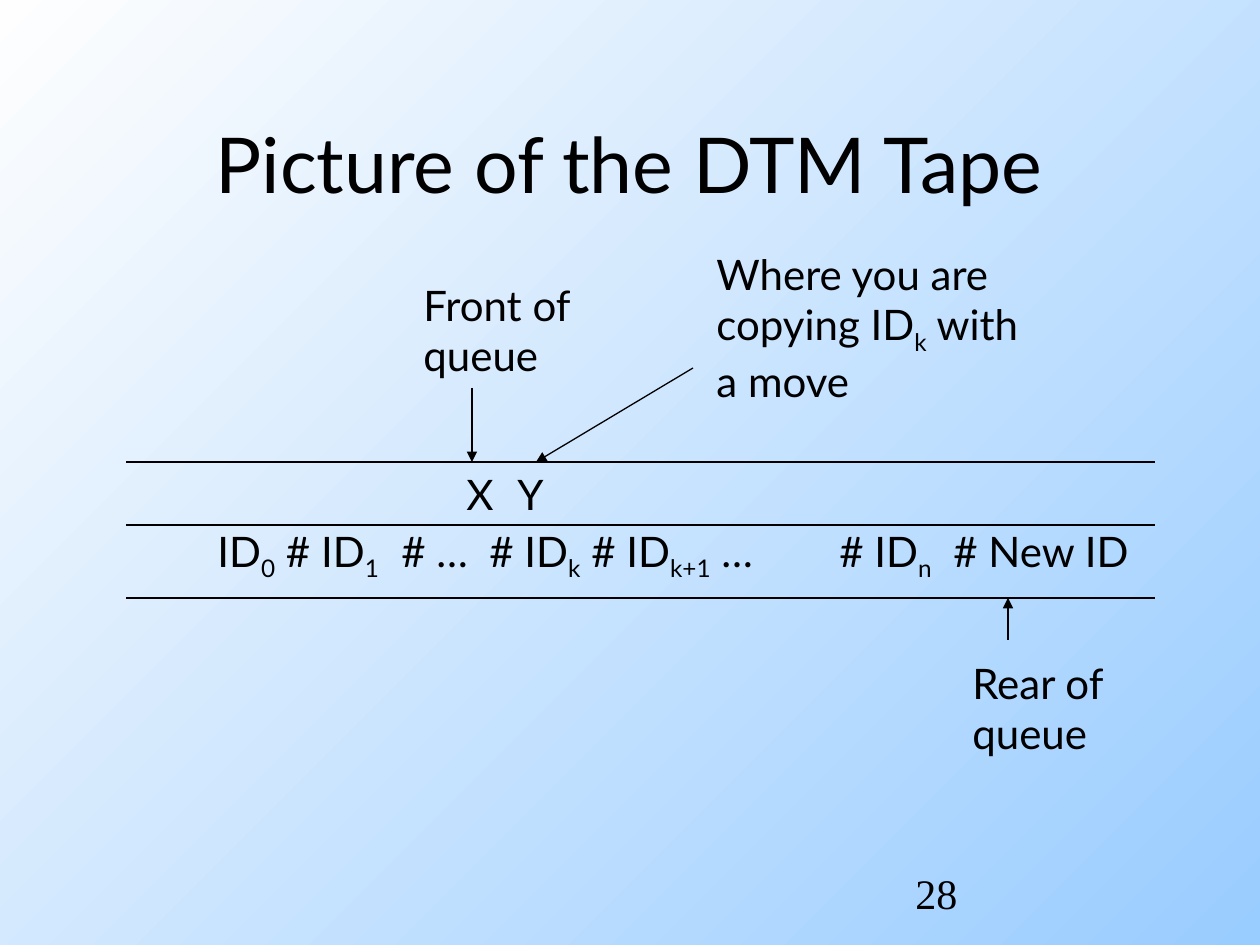
from dataclasses import dataclass

from lxml.etree import SubElement
from pptx import Presentation
from pptx.dml.color import RGBColor
from pptx.enum.shapes import MSO_CONNECTOR
from pptx.enum.text import MSO_ANCHOR, PP_ALIGN
from pptx.oxml.ns import qn
from pptx.util import Emu, Pt


@dataclass(frozen=True)
class Theme:
    """Colours, fonts and type sizes of the slide."""
    ink: RGBColor = RGBColor(0x00, 0x00, 0x00)
    sky: RGBColor = RGBColor(0x99, 0xCC, 0xFF)
    haze: RGBColor = RGBColor(0xFE, 0xFE, 0xFE)
    font: str = "Lato"
    number_font: str = "Times New Roman"
    title_size: int = 44
    text_size: int = 24
    line_width: float = 0.75


THEME = Theme()
PX_PER_INCH = 126
TAPE_LEFT, TAPE_RIGHT = 126, 1155
TRACK_EDGES = (462, 525, 598)


def px(length):
    """Turn pixels into EMU."""
    return Emu(round(length * 914400 / PX_PER_INCH))


def style(paragraph, size=THEME.text_size, font=THEME.font):
    """Apply the theme's type to a paragraph."""
    paragraph.font.size = Pt(size)
    paragraph.font.name = font
    paragraph.font.color.rgb = THEME.ink


def paint_background(slide):
    """Fill the background with a diagonal gradient."""
    fill = slide.background.fill
    fill.gradient()
    fill.gradient_angle = 135
    for stop, colour in zip(fill.gradient_stops, (THEME.sky, THEME.haze)):
        stop.color.rgb = colour


def add_title(slide, text):
    """Place and format the title placeholder."""
    title = slide.shapes.title
    title.left, title.top, title.width, title.height = map(px, (94, 84, 1071, 158))
    title.text_frame.text = text
    title.text_frame.vertical_anchor = MSO_ANCHOR.MIDDLE
    paragraph = title.text_frame.paragraphs[0]
    paragraph.alignment = PP_ALIGN.CENTER
    style(paragraph, THEME.title_size)


def add_label(slide, box, *lines, tabs=(), font=THEME.font):
    """Add text lines in which every second part between bars is a subscript."""
    frame = slide.shapes.add_textbox(*map(px, box)).text_frame
    frame.word_wrap = True
    for index, line in enumerate(lines):
        paragraph = frame.add_paragraph() if index else frame.paragraphs[0]
        if tabs:
            tab_list = SubElement(paragraph._p.get_or_add_pPr(), qn("a:tabLst"))
            for stop in tabs:
                SubElement(tab_list, qn("a:tab"), pos=str(px(stop)), algn="l")
        style(paragraph, font=font)
        for part, text in enumerate(line.split("|")):
            run = paragraph.add_run()
            run.text = text
            if part % 2:
                run._r.get_or_add_rPr().set("baseline", "-25000")


def add_line(slide, start, end, arrow=False):
    """Draw a thin straight line, with an arrowhead at its end if asked."""
    line = slide.shapes.add_connector(
        MSO_CONNECTOR.STRAIGHT, *map(px, (*start, *end)))
    line.line.color.rgb = THEME.ink
    line.line.width = Pt(THEME.line_width)
    if arrow:
        SubElement(line.line._get_or_add_ln(), qn("a:tailEnd"), type="triangle")
    SubElement(line._element.spPr, qn("a:effectLst"))


def add_tape(slide):
    """Draw the two tracks of the tape and their contents."""
    for edge in TRACK_EDGES:
        add_line(slide, (TAPE_LEFT, edge), (TAPE_RIGHT, edge))
    add_label(slide, (205, 519, 971, 71),
              "ID|0| # ID|1|\t# …\t# ID|k| # ID|k+1| …\t# ID|n|\t# New ID",
              tabs=(184, 272, 622, 736))
    for mark, left in (("X", 454), ("Y", 505)):
        add_label(slide, (left, TRACK_EDGES[0], 50, 63), mark)


def add_pointers(slide):
    """Label the queue's ends and the copying position with arrows."""
    top, bottom = TRACK_EDGES[0], TRACK_EDGES[-1]
    add_label(slide, (411, 273, 181, 113), "Front of", "queue")
    add_line(slide, (472, 388), (472, top), arrow=True)
    add_label(slide, (704, 242, 357, 171),
              "Where you are", "copying ID|k| with", "a move")
    add_line(slide, (693, 368), (536, top), arrow=True)
    add_label(slide, (960, 651, 166, 113), "Rear of", "queue")
    add_line(slide, (1008, 640), (1008, bottom), arrow=True)


def main():
    """Build and save the slide."""
    deck = Presentation()
    deck.slide_width, deck.slide_height = px(1260), px(945)
    slide = deck.slides.add_slide(deck.slide_layouts[5])
    paint_background(slide)
    add_title(slide, "Picture of the DTM Tape")
    add_tape(slide)
    add_pointers(slide)
    add_label(slide, (903, 861, 262, 63), "28", font=THEME.number_font)
    deck.save("out.pptx")


if __name__ == "__main__":
    main()
